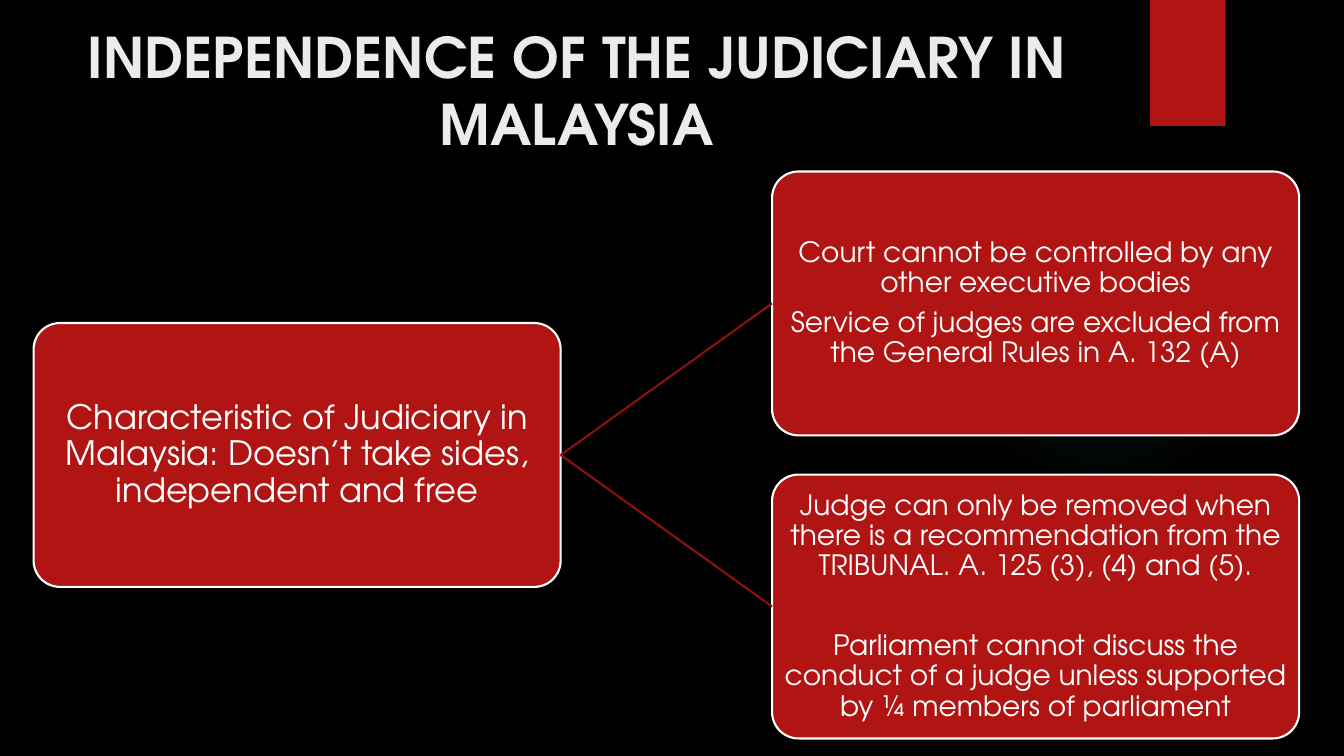
from lxml import etree
from pptx import Presentation
from pptx.dml.color import RGBColor
from pptx.enum.shapes import MSO_CONNECTOR, MSO_SHAPE as SH
from pptx.enum.text import MSO_ANCHOR as ANCHOR, PP_ALIGN as ALIGN
from pptx.oxml import parse_xml
from pptx.oxml.ns import nsdecls, qn
from pptx.util import Pt

FONT = "TeX Gyre Adventor"
RED, DARK_RED, WHITE = "B01513", "8D110F", "FFFFFF"


def rgb(value):
    return RGBColor.from_string(value)


def write(tf, paragraphs, size, color, bold, margin, anchor):
    """Fill a text frame with centred (text, space after) paragraphs."""
    tf.word_wrap = True
    tf.vertical_anchor = anchor
    for side in ("left", "right", "top", "bottom"):
        setattr(tf, "margin_" + side, Pt(margin))
    for i, (text, after) in enumerate(paragraphs):
        p = tf.paragraphs[0] if i == 0 else tf.add_paragraph()
        p.alignment = ALIGN.CENTER
        p.space_after = Pt(after)
        r = p.add_run()
        r.text = text
        for key, value in {"name": FONT, "size": Pt(size), "bold": bold}.items():
            setattr(r.font, key, value)
        r.font.color.rgb = rgb(color)


prs = Presentation()
prs.slide_width, prs.slide_height = Pt(960), Pt(540)
s = prs.slides.add_slide(prs.slide_layouts[6])
s.background.fill.solid()
s.background.fill.fore_color.rgb = rgb("000000")

# Faint round glow
glow = s.shapes.add_shape(SH.OVAL, Pt(677.5), Pt(132), Pt(222), Pt(222))
glow.shadow.inherit = False
glow.line.fill.background()
stops = "".join(
    f'<a:gs pos="{pos}000"><a:srgbClr val="50B9C1"><a:alpha val="{alpha}000"/></a:srgbClr></a:gs>'
    for pos, alpha in ((0, 7), (36, 6), (69, 0)))
glow.element.spPr.find(qn("a:prstGeom")).addnext(parse_xml(
    f'<a:gradFill {nsdecls("a")}><a:gsLst>{stops}</a:gsLst><a:path path="circle">'
    '<a:fillToRect l="50000" t="50000" r="50000" b="50000"/></a:path></a:gradFill>'))

# Red tab at the top edge
tab = s.shapes.add_shape(SH.RECTANGLE, Pt(821.5), 0, Pt(54), Pt(90))
tab.shadow.inherit = False
tab.fill.solid()
tab.fill.fore_color.rgb = rgb(RED)
tab.line.fill.background()

# Title
title = s.shapes.add_textbox(Pt(41.5), Pt(12), Pt(741), Pt(122.5))
write(title.text_frame, [("INDEPENDENCE OF THE JUDICIARY IN MALAYSIA", 0)],
      40, "EBEBEB", True, 4, ANCHOR.TOP)

# Boxes: the root sits midway between its two branches
BOX_W, BOX_H = 376.5, 188.5
TOP, STEP = 122.5, 216.5
ROOT_X, BRANCH_X = 24, 551.5
boxes = []
for x, row, size, margin, paragraphs in (
    (ROOT_X, 0.5, 24, 1.2, [
        ("Characteristic of Judiciary in Malaysia: Doesn’t take sides, independent and free", 8.4)]),
    (BRANCH_X, 0, 20, 0.9, [
        ("Court cannot be controlled by any other executive bodies", 7),
        ("Service of judges are excluded from the General Rules in A. 132 (A)", 7)]),
    (BRANCH_X, 1, 20, 0.9, [
        ("Judge can only be removed when there is a recommendation from the "
         "TRIBUNAL. A. 125 (3), (4) and (5).", 35.5),
        ("Parliament cannot discuss the conduct of a judge unless supported by "
         "¼ members of parliament", 7)]),
):
    sp = s.shapes.add_shape(SH.ROUNDED_RECTANGLE, Pt(x), Pt(TOP + row * STEP), Pt(BOX_W), Pt(BOX_H))
    sp.adjustments[0] = 0.1
    sp.shadow.inherit = False
    sp.fill.solid()
    sp.fill.fore_color.rgb = rgb(RED)
    sp.line.color.rgb = rgb(WHITE)
    sp.line.width = Pt(1.5)
    write(sp.text_frame, paragraphs, size, WHITE, False, margin, ANCHOR.MIDDLE)
    for p in sp.text_frame.paragraphs:
        p.line_spacing = 0.9
    boxes.append(sp)

# Lines from the root to each branch
root, *branches = boxes
for branch in branches:
    line = s.shapes.add_connector(MSO_CONNECTOR.STRAIGHT, 0, 0, 0, 0)
    line.begin_connect(root, 3)
    line.end_connect(branch, 1)
    line.line.color.rgb = rgb(DARK_RED)
    line.line.width = Pt(1.5)
    etree.SubElement(line.element.spPr, qn("a:effectLst"))

prs.save("out.pptx")
